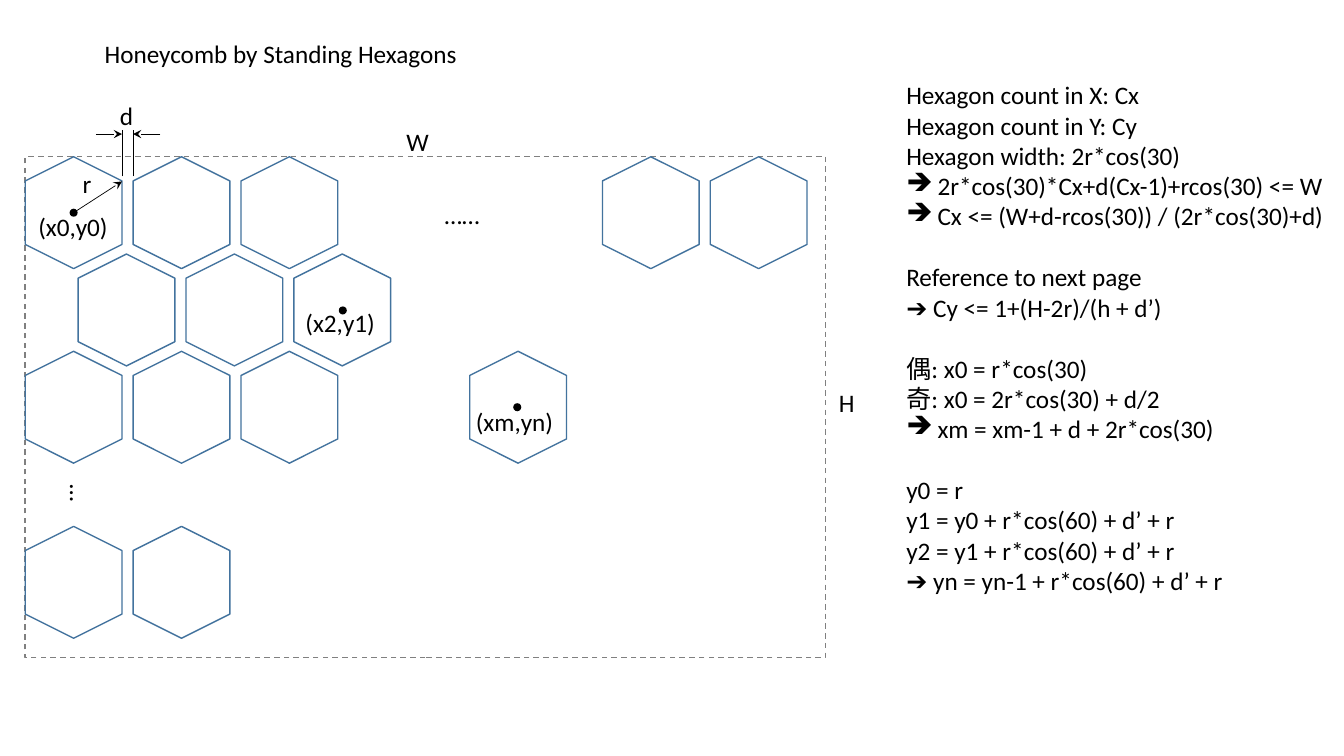
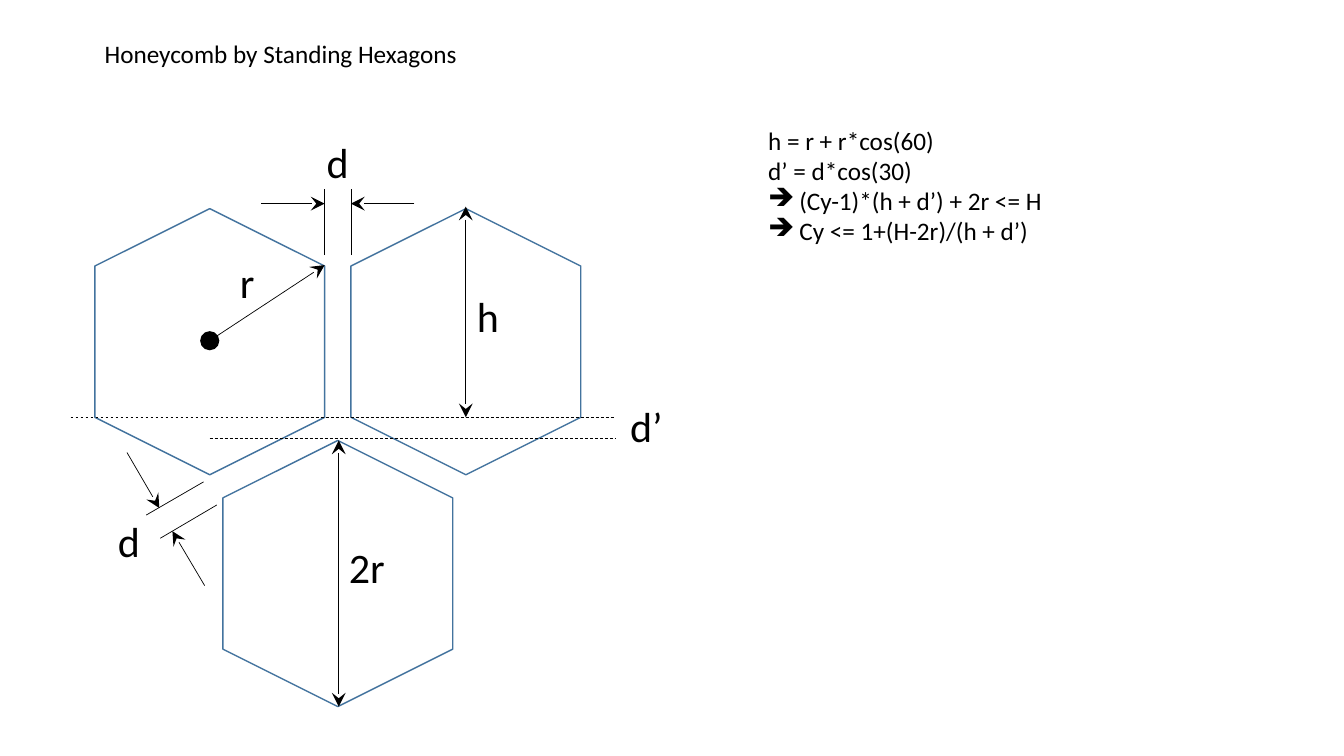
"""Build two slides that work out the spacing of a honeycomb of standing hexagons."""
from dataclasses import dataclass

from lxml import etree
from pptx import Presentation
from pptx.dml.color import RGBColor
from pptx.enum.dml import MSO_LINE
from pptx.enum.shapes import MSO_CONNECTOR, MSO_SHAPE
from pptx.enum.text import MSO_AUTO_SIZE
from pptx.oxml.ns import qn
from pptx.util import Inches, Pt

DASH = MSO_LINE.DASH
STRAIGHT = MSO_CONNECTOR.STRAIGHT
HEX, OVAL, RECT = MSO_SHAPE.HEXAGON, MSO_SHAPE.OVAL, MSO_SHAPE.RECTANGLE
GROW = MSO_AUTO_SIZE.SHAPE_TO_FIT_TEXT


@dataclass(frozen=True)
class Theme:
    font: str = "Calibri"
    ink: RGBColor = RGBColor(0, 0, 0)
    edge: RGBColor = RGBColor(0x43, 0x73, 0x9E)
    frame: RGBColor = RGBColor(0x80, 0x80, 0x80)
    body: int = 18
    large: int = 30
    gap: int = 22
    thin: float = 0.5
    bold: float = 1
    mark: str = "➔"


theme = Theme()
deck = Presentation()
deck.slide_width, deck.slide_height = Inches(13.33), Inches(7.5)
COL, ROW = deck.slide_width / 13.33, deck.slide_height / 7.5


def write(slide, text, col, row, wide, high, size=theme.body, pad=0.0, turn=0):
    """Put text on the grid; an empty line opens a gap and '* ' starts a bullet."""
    box = slide.shapes.add_textbox(
        int(col * COL), int(row * ROW), int(wide * COL), int(high * ROW))
    box.rotation = turn
    frame = box.text_frame
    frame.word_wrap, frame.auto_size = False, GROW
    frame.margin_left = frame.margin_right = Inches(pad)
    frame.margin_top = frame.margin_bottom = Inches(pad / 2)
    para, space = frame.paragraphs[0], 0
    for line in text.split("\n"):
        if not line:
            space = theme.gap
            continue
        if para.runs:
            para = frame.add_paragraph()
        if space:
            para.space_before, space = Pt(space), 0
        if line.startswith("* "):
            props = para._p.get_or_add_pPr()
            props.set("marL", str(Inches(0.31)))
            props.set("indent", str(-Inches(0.31)))
            etree.SubElement(props, qn("a:buChar")).set("char", theme.mark)
        run = para.add_run()
        run.text = line.removeprefix("* ")
        run.font.name, run.font.size = theme.font, Pt(size)
        run.font.color.rgb = theme.ink


def draw(slide, kind, mid, wide, high, fill=None, edge=None, dash=None, turn=0):
    """Centre a preset shape on a grid point."""
    shape = slide.shapes.add_shape(
        kind, int((mid[0] - wide / 2) * COL), int((mid[1] - high / 2) * ROW),
        int(wide * COL), int(high * ROW))
    shape.shadow.inherit = False
    shape.rotation = turn
    if fill is None:
        shape.fill.background()
    else:
        shape.fill.solid()
        shape.fill.fore_color.rgb = fill
    if edge is None:
        shape.line.fill.background()
    else:
        shape.line.color.rgb, shape.line.width = edge, Pt(theme.bold)
        shape.line.dash_style = dash


count = """Hexagon count in X: Cx
Hexagon count in Y: Cy
Hexagon width: 2r*cos(30)
* 2r*cos(30)*Cx+d(Cx-1)+rcos(30) <= W
* Cx <= (W+d-rcos(30)) / (2r*cos(30)+d)

Reference to next page
➔ Cy <= 1+(H-2r)/(h + d’)

偶: x0 = r*cos(30)
奇: x0 = 2r*cos(30) + d/2
* xm = xm-1 + d + 2r*cos(30)

y0 = r
y1 = y0 + r*cos(60) + d’ + r
y2 = y1 + r*cos(60) + d’ + r
➔ yn = yn-1 + r*cos(60) + d’ + r"""

height = """h = r + r*cos(60)
d’ = d*cos(30)
* (Cy-1)*(h + d’) + 2r <= H
* Cy <= 1+(H-2r)/(h + d’)"""

pages = [
    dict(
        start=(0.73, 2.11), step=1.07, rise=0.965, long=1.11, wide=0.96,
        cells=[(c + 0.49 * (r == 1), r) for r in range(3) for c in range(3)]
        + [(5.35, 0), (6.35, 0), (4.12, 2), (0, 3.8), (1, 3.8)],
        dot=0.08, dots=[(0.73, 2.11), (3.4, 3.08), (5.13, 4.04)],
        size=theme.body, head="med",
        lines=[((0.73, 2.11), (1.21, 1.8), "t"),
               ((1.21, 1.75), (1.21, 1.29), ""), ((1.32, 1.75), (1.32, 1.29), ""),
               ((0.95, 1.33), (1.21, 1.33), "t"), ((1.59, 1.33), (1.32, 1.33), "t")],
        words=[("W", 4.03, 1.25, 0.22), ("H", 8.32, 3.84, 0.16),
               ("(x0,y0)", 0.38, 2.1, 0.7), ("(x2,y1)", 3.03, 3.05, 0.7),
               ("(xm,yn)", 4.72, 4.03, 0.77), ("r", 0.82, 1.67, 0.09),
               ("d", 1.19, 1, 0.13), ("……", 4.41, 1.98, 0.35),
               ("…", 0.71, 4.74, 0.17, 90)],
        note=(count, 8.89, 0.74, 4.39, 5.25)),
    dict(
        start=(2.08, 3.39), step=2.54, rise=2.3, long=2.64, wide=2.28,
        cells=[(0, 0), (1, 0), (0.5, 1)],
        dot=0.19, dots=[(2.08, 3.38)],
        size=theme.large, head="lg",
        lines=[((2.08, 3.38), (3.22, 2.63), "t"),
               ((3.22, 2.53), (3.22, 1.88), ""), ((3.48, 2.53), (3.48, 1.88), ""),
               ((2.59, 2.02), (3.22, 2.02), "t"), ((4.11, 2.02), (3.48, 2.02), "t"),
               ((0.7, 4.14), (6.1, 4.14), "d"), ((2.08, 4.35), (6.1, 4.35), "d"),
               ((2.15, 5.01), (1.59, 5.34), ""), ((2.02, 4.78), (1.45, 5.11), ""),
               ((2.03, 5.81), (1.71, 5.27), "t"), ((1.26, 4.49), (1.58, 5.04), "t"),
               ((3.36, 4.37), (3.36, 7.01), "ht"), ((4.62, 2.05), (4.62, 4.14), "ht")],
        words=[("r", 2.38, 2.55, 0.15), ("d", 3.24, 1.35, 0.22),
               ("d", 1.17, 5.11, 0.22), ("d’", 6.25, 3.97, 0.33),
               ("2r", 3.46, 5.37, 0.36), ("h", 4.73, 2.88, 0.22)],
        note=(height, 7.52, 1.19, 3.02, 1.31)),
]

for page in pages:
    slide = deck.slides.add_slide(deck.slide_layouts[6])
    write(slide, "Honeycomb by Standing Hexagons", 0.94, 0.33, 3.74, 0.4, pad=0.1)
    if page is pages[0]:
        draw(slide, RECT, (4.22, 4.04), 7.94, 4.97, edge=theme.frame, dash=DASH)
    left, top = page["start"]
    for col, row in page["cells"]:
        mid = left + col * page["step"], top + row * page["rise"]
        draw(slide, HEX, mid, page["long"], page["wide"], edge=theme.edge, turn=90)
    for mid in page["dots"]:
        draw(slide, OVAL, mid, page["dot"], page["dot"], fill=theme.ink)
    for (ax, ay), (bx, by), style in page["lines"]:
        link = slide.shapes.add_connector(
            STRAIGHT, int(ax * COL), int(ay * ROW), int(bx * COL), int(by * ROW))
        link.line.color.rgb, link.line.width = theme.ink, Pt(theme.thin)
        if "d" in style:
            link.line.dash_style = DASH
        props = link.element.spPr
        for key, tag in (("h", "a:headEnd"), ("t", "a:tailEnd")):
            if key in style:
                tip = etree.SubElement(props.find(qn("a:ln")), qn(tag))
                tip.set("type", "stealth")
                tip.set("w", page["head"])
                tip.set("len", page["head"])
        etree.SubElement(props, qn("a:effectLst"))
    for text, col, row, wide, *turn in page["words"]:
        write(slide, text, col, row, wide, page["size"] / 60,
              size=page["size"], turn=sum(turn))
    write(slide, *page["note"], pad=0.1)

deck.save("out.pptx")
